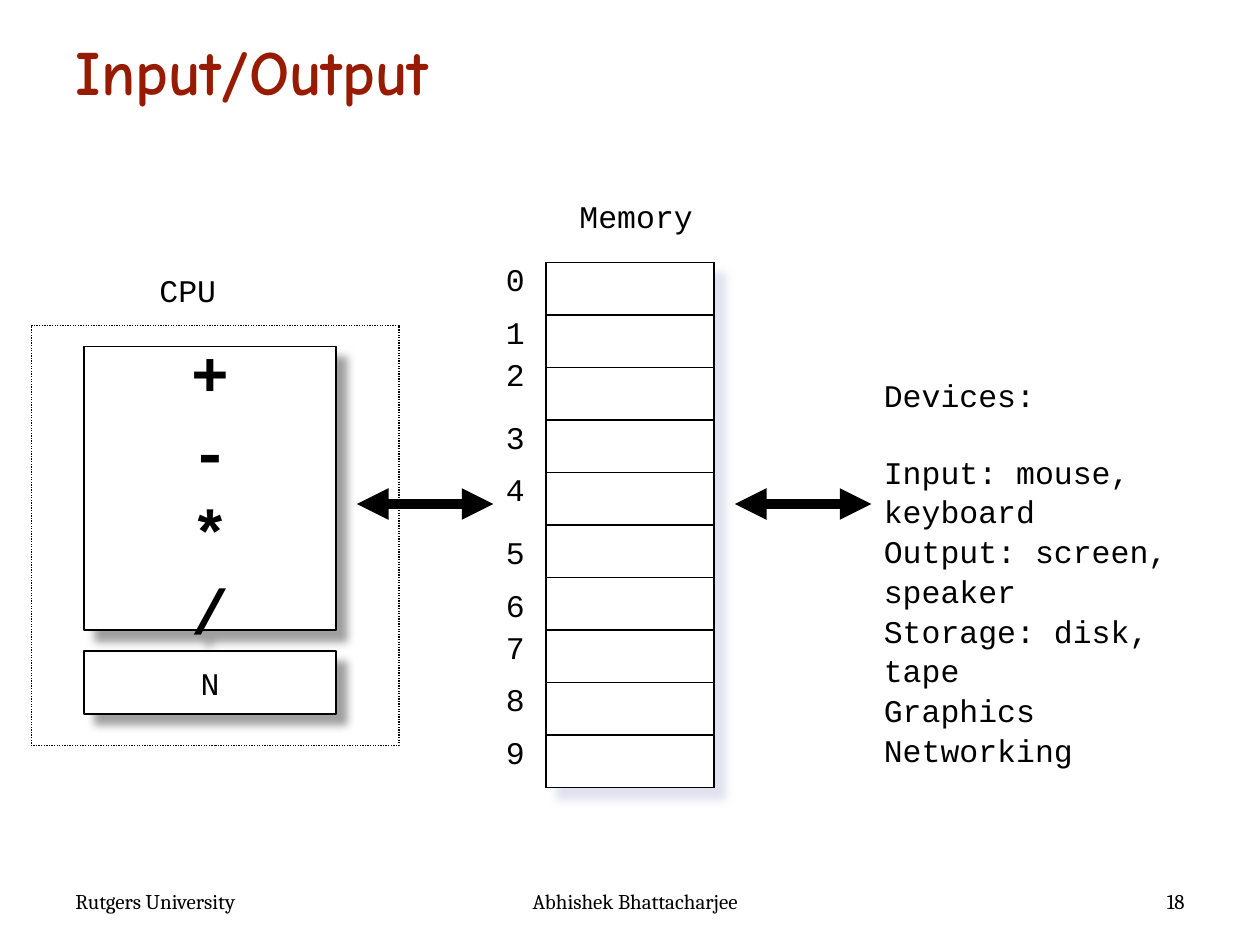
from lxml import etree
from pptx import Presentation
from pptx.dml.color import RGBColor
from pptx.enum.dml import MSO_LINE
from pptx.enum.shapes import MSO_CONNECTOR, MSO_SHAPE
from pptx.enum.text import MSO_ANCHOR, PP_ALIGN
from pptx.oxml.ns import qn
from pptx.util import Inches, Pt

LEFT, CENTER, RIGHT = PP_ALIGN.LEFT, PP_ALIGN.CENTER, PP_ALIGN.RIGHT
TOP, MIDDLE, BOTTOM = MSO_ANCHOR.TOP, MSO_ANCHOR.MIDDLE, MSO_ANCHOR.BOTTOM
RECTANGLE, STRAIGHT = MSO_SHAPE.RECTANGLE, MSO_CONNECTOR.STRAIGHT
DOTTED = MSO_LINE.ROUND_DOT

THEME = {
    "ink": "000000", "paper": "FFFFFF", "title": "971B00",
    "cpu_shadow": "808080", "memory_shadow": "D8D8EC",
    "mono": "Courier New", "serif": "Cambria", "heading": "Comic Neue",
    "large": 36, "body": 18, "small": 12,
    "outline": 0.75, "arrow": 6,
}

deck = Presentation()
deck.slide_width, deck.slide_height = Inches(10), Inches(7.5)
COL = deck.slide_width / 120
ROW = deck.slide_height / 90
slide = deck.slides.add_slide(deck.slide_layouts[5])


def write(text, col=0, row=0, cols=0, rows=0, holder=None, font="mono", size="body",
          color="ink", bold=False, align=LEFT, anchor=TOP, spacing=1.05):
    if holder is None:
        holder = slide.shapes.add_textbox(
            int(col * COL), int(row * ROW), int(cols * COL), int(rows * ROW))
    frame = holder.text_frame
    frame.word_wrap = True
    frame.vertical_anchor = anchor
    frame.text = text
    for paragraph in frame.paragraphs:
        paragraph.alignment = align
        paragraph.line_spacing = spacing
        paragraph.font.name = THEME[font]
        paragraph.font.size = Pt(THEME[size])
        paragraph.font.bold = bold
        paragraph.font.color.rgb = RGBColor.from_string(THEME[color])
    return frame


def box(col, row, cols, rows, filled=False, shadow=None):
    rect = slide.shapes.add_shape(
        RECTANGLE, int(col * COL), int(row * ROW), int(cols * COL), int(rows * ROW))
    rect.shadow.inherit = False
    if filled:
        rect.fill.solid()
        rect.fill.fore_color.rgb = RGBColor.from_string(THEME["paper"])
    else:
        rect.fill.background()
    rect.line.color.rgb = RGBColor.from_string(THEME["ink"])
    rect.line.width = Pt(THEME["outline"])
    if shadow:
        effects = rect._element.spPr.find(qn("a:effectLst"))
        outer = etree.SubElement(
            effects, qn("a:outerShdw"), blurRad=str(Pt(5)), dist=str(Pt(8.5)),
            dir="2700000", algn="ctr", rotWithShape="0")
        tint = etree.SubElement(outer, qn("a:srgbClr"), val=THEME[shadow])
        etree.SubElement(tint, qn("a:alpha"), val="75000")
    return rect


title = slide.shapes.title
title.left, title.top = int(6 * COL), int(1.5 * ROW)
title.width, title.height = int(108 * COL), int(9.4 * ROW)
write("Input/Output", holder=title, font="heading", size="large", color="title",
      bold=True, anchor=BOTTOM, spacing=1)

for text, col, cols, align in [("Rutgers University", 6, 19, LEFT),
                               ("Abhishek Bhattacharjee", 49, 23, CENTER),
                               ("18", 95, 19, RIGHT)]:
    write(text, col, 84, cols, 3.6, font="serif", size="small", align=align, spacing=1)

MEMORY_COL, MEMORY_ROW, MEMORY_COLS, CELL_ROWS = 52, 25, 16, 5
address_rows = [24, 29, 33, 39, 44, 50, 55, 59, 64, 69]
write("Memory", 54, 18, 14, 5)
box(MEMORY_COL, MEMORY_ROW, MEMORY_COLS, CELL_ROWS * len(address_rows),
    filled=True, shadow="memory_shadow")
for address, address_row in enumerate(address_rows):
    box(MEMORY_COL, MEMORY_ROW + address * CELL_ROWS, MEMORY_COLS, CELL_ROWS)
    write(str(address), 47, address_row, 5, 6)

write("CPU", 14, 25, 10, 6)
operations = box(8, 33, 24, 27, filled=True, shadow="cpu_shadow")
write("+\n-\n*\n/", holder=operations, size="large", bold=True, align=CENTER, anchor=MIDDLE)
register = box(8, 62, 24, 6, filled=True, shadow="cpu_shadow")
write("N", holder=register, align=CENTER, anchor=MIDDLE)
cpu_boundary = box(3, 31, 35, 40)
cpu_boundary.line.dash_style = DOTTED

for start in (34, 70):
    bus = slide.shapes.add_connector(
        STRAIGHT, int(start * COL), int(48 * ROW), int((start + 13) * COL), int(48 * ROW))
    bus.line.color.rgb = RGBColor.from_string(THEME["ink"])
    bus.line.width = Pt(THEME["arrow"])
    for end in ("a:headEnd", "a:tailEnd"):
        etree.SubElement(bus.line._get_or_add_ln(), qn(end), type="triangle")
    etree.SubElement(bus._element.spPr, qn("a:effectLst"))

devices = write(
    "Devices:\nInput: mouse, keyboard\nOutput: screen, speaker\n"
    "Storage: disk, tape\nGraphics\nNetworking", 83, 35, 34.8, 41)
devices.paragraphs[0].space_after = Pt(21.5)

deck.save("out.pptx")
